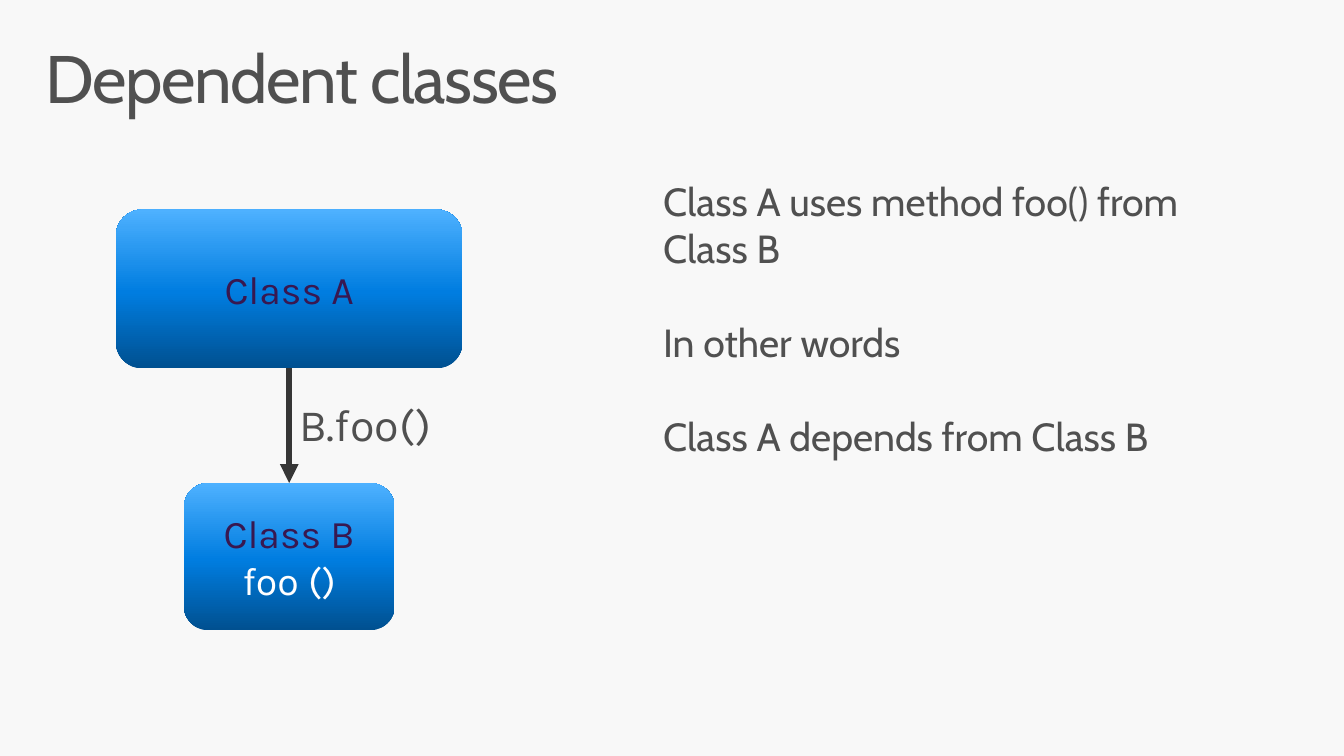
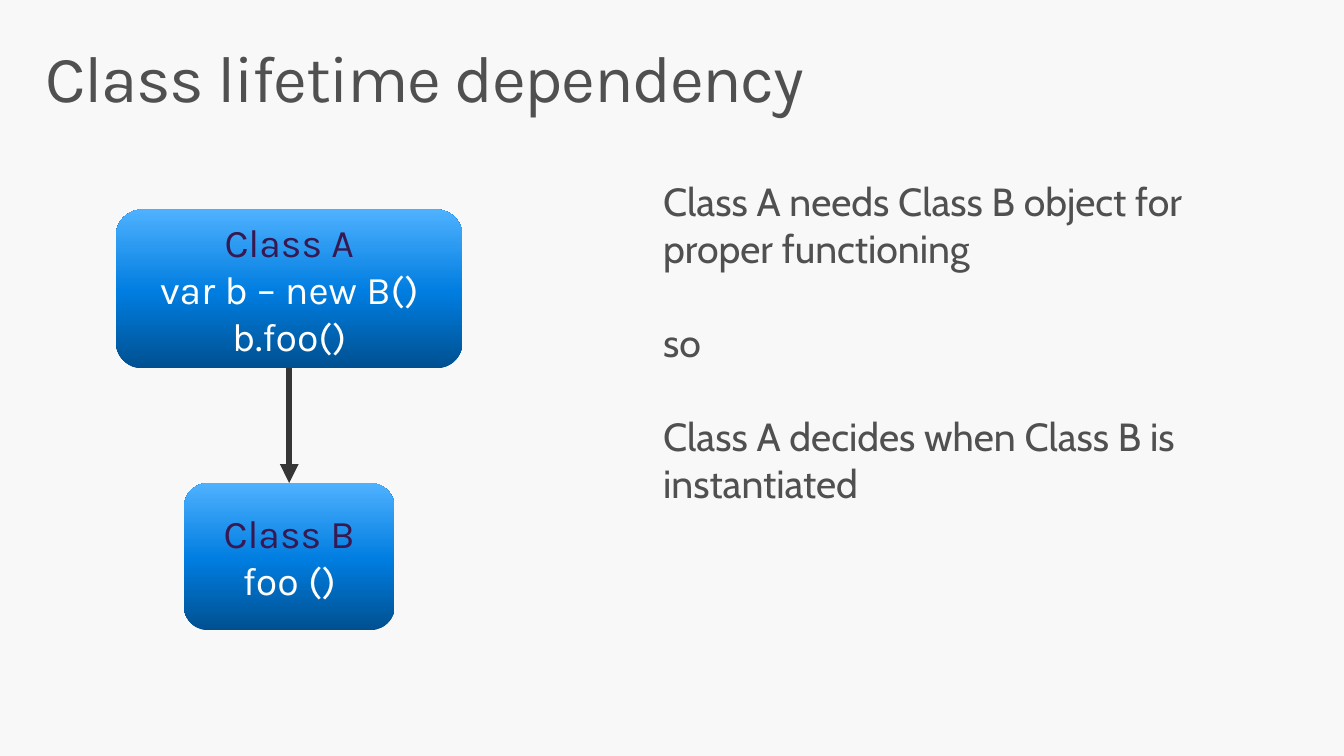
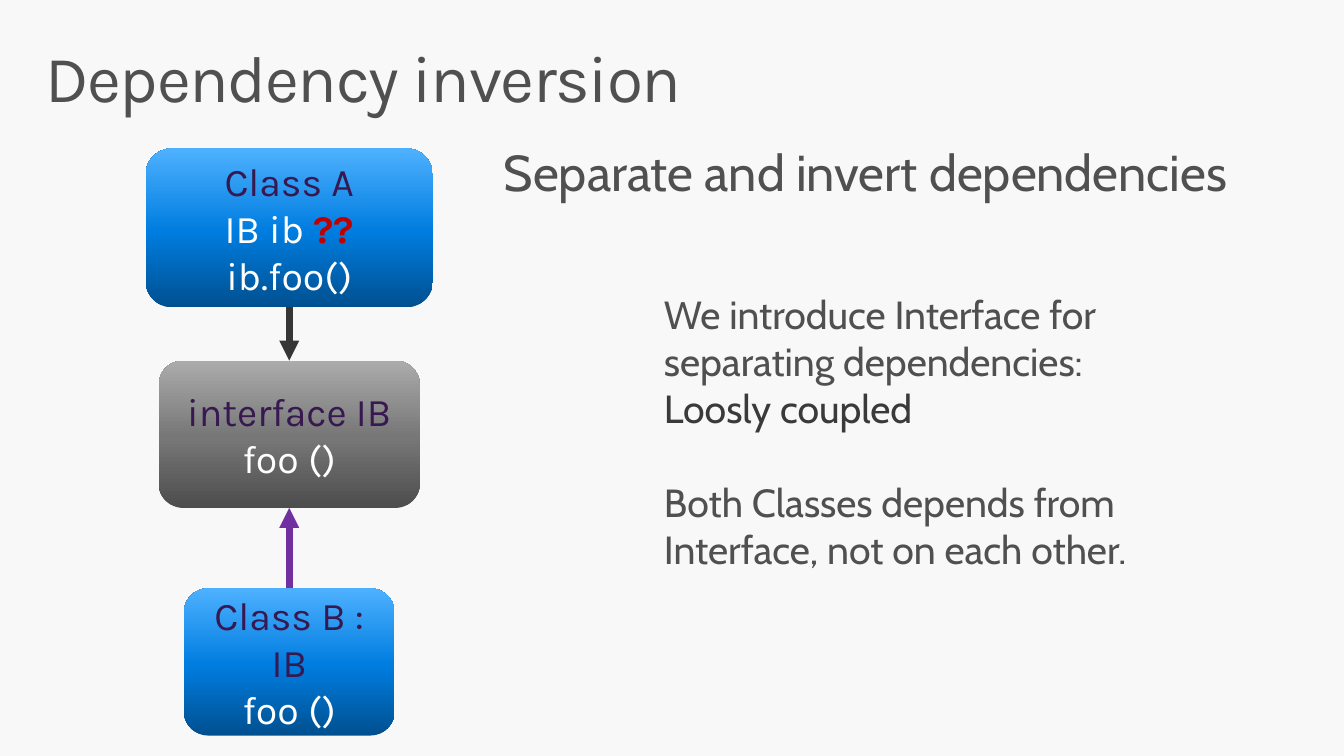
from copy import deepcopy

from lxml.etree import SubElement
from pptx import Presentation
from pptx.dml.color import RGBColor
from pptx.enum.shapes import MSO_CONNECTOR as Connector, MSO_SHAPE as Shape
from pptx.enum.text import MSO_ANCHOR as Anchor, MSO_AUTO_SIZE as AutoSize, PP_ALIGN as Align
from pptx.oxml.ns import qn
from pptx.util import Pt

BACKGROUND, TEXT, DARK = "F8F8F8", "505050", "3A3A3A"
HEADING, WHITE, RED = "381850", "FFFFFF", "C00000"
ARROW, PURPLE = "363636", "7030A0"
BLUES = ("005090", "007DE0", "4EB1FF")
GREYS = ("4D4D4D", "777777", "ABABAB")
STOPS = (0, 0.48, 1)
CABIN, KARLA = "Cabin", "Karla"
AXIS = 206.6
CLASS_A_HEIGHT, BOX_HEIGHT, CLASS_B_WIDTH = 113.6, 105.2, 150.6
BLANK_LINE = 33.6


def color(hex_string):
    return RGBColor.from_string(hex_string)


class Deck:
    """Holds the shared style and the slide being built."""

    def __init__(self):
        self.presentation = Presentation()
        self.presentation.slide_width = Pt(960)
        self.presentation.slide_height = Pt(540)
        fill = self.presentation.slide_master.background.fill
        fill.solid()
        fill.fore_color.rgb = color(BACKGROUND)
        self.slide = None

    def style(self, paragraph, size, font, hex_string):
        for run in paragraph.runs:
            run.font.size = Pt(size)
            run.font.name = font
            run.font.color.rgb = color(hex_string)

    def add_slide(self, title, size=47, font=KARLA):
        self.slide = self.presentation.slides.add_slide(self.presentation.slide_layouts[5])
        shape = self.slide.shapes.title
        shape.left, shape.top, shape.width, shape.height = Pt(21), Pt(23), Pt(918), Pt(70.6)
        frame = shape.text_frame
        frame.text = title
        frame.word_wrap = True
        frame.auto_size = AutoSize.NONE
        frame.vertical_anchor = Anchor.MIDDLE
        frame.margin_left = frame.margin_right = Pt(11.5)
        frame.margin_top = frame.margin_bottom = Pt(7.2)
        paragraph = frame.paragraphs[0]
        paragraph.alignment = Align.LEFT
        paragraph.line_spacing = 0.9
        self.style(paragraph, size, font, TEXT)
        for run in paragraph.runs:
            run.font._element.set("spc", "-100")

    def text(self, left, top, width, height, lines, size=28, font=CABIN):
        frame = self.slide.shapes.add_textbox(Pt(left), Pt(top), Pt(width), Pt(height)).text_frame
        frame.text = "\n".join(lines)
        frame.word_wrap = True
        frame.auto_size = AutoSize.SHAPE_TO_FIT_TEXT
        for paragraph in frame.paragraphs:
            self.style(paragraph, size, font, TEXT)
        for paragraph in frame.paragraphs[1:]:
            paragraph.space_before = Pt(BLANK_LINE)
        return frame.paragraphs

    def box(self, top, width, height, lines, shades=BLUES):
        shape = self.slide.shapes.add_shape(
            Shape.ROUNDED_RECTANGLE, Pt(AXIS - width / 2), Pt(top), Pt(width), Pt(height))
        shape.shadow.inherit = False
        shape.line.fill.background()
        self.gradient(shape.fill, shades)
        frame = shape.text_frame
        frame.text = "\n".join(lines)
        frame.word_wrap = True
        frame.vertical_anchor = Anchor.MIDDLE
        for index, paragraph in enumerate(frame.paragraphs):
            paragraph.alignment = Align.CENTER
            self.style(paragraph, 28, KARLA, WHITE if index else HEADING)
        return shape

    def gradient(self, fill, shades):
        fill.gradient()
        fill.gradient_angle = 90
        first = fill.gradient_stops[0]._gs
        first.addnext(deepcopy(first))
        for stop, position, shade in zip(fill.gradient_stops, STOPS, shades):
            stop.position = position
            stop.color.rgb = color(shade)

    def arrow(self, start, start_site, end, end_site, hex_string=ARROW, width=4.75):
        connector = self.slide.shapes.add_connector(Connector.STRAIGHT, 0, 0, 0, 0)
        connector.begin_connect(start, start_site)
        connector.end_connect(end, end_site)
        connector.line.color.rgb = color(hex_string)
        connector.line.width = Pt(width)
        SubElement(connector.line._get_or_add_ln(), qn("a:tailEnd"), type="triangle")
        SubElement(connector._element.spPr, qn("a:effectLst"))

    def dependency(self, class_a_lines):
        class_a = self.box(149.6, 247.6, CLASS_A_HEIGHT, class_a_lines)
        class_b = self.box(345, CLASS_B_WIDTH, BOX_HEIGHT, ["Class B", "foo ()"])
        self.arrow(class_a, 2, class_b, 0, width=4.5)


def main():
    deck = Deck()

    deck.add_slide("Dependent classes", 48, CABIN)
    deck.text(466.6, 123, 410.4, 211, [
        "Class A uses method foo() from Class B",
        "In other words",
        "Class A depends from Class B"])
    deck.text(AXIS, 280, 125.3, 46, ["B.foo()"], 32, KARLA)
    deck.dependency(["Class A"])

    deck.add_slide("Class lifetime dependency")
    deck.dependency(["Class A", "var b – new B()", "b.foo()"])
    deck.text(466.6, 123, 410.4, 278.6, [
        "Class A needs Class B object for proper functioning",
        "so",
        "Class A decides when Class B is instantiated"])

    deck.add_slide("Dependency inversion")
    class_a = deck.box(106, 205.2, CLASS_A_HEIGHT, ["Class A", "IB ib ", "ib.foo()"])
    question = class_a.text_frame.paragraphs[1]
    marks = question.add_run()
    marks.text = "??"
    deck.style(question, 28, KARLA, WHITE)
    marks.font.color.rgb = color(RED)
    marks.font.bold = True
    interface = deck.box(257.6, 186.6, BOX_HEIGHT, ["interface IB", "foo ()"], GREYS)
    class_b = deck.box(420.2, CLASS_B_WIDTH, BOX_HEIGHT, ["Class B : IB", "foo ()"])
    deck.arrow(class_a, 2, interface, 0)
    deck.arrow(class_b, 0, interface, 2, PURPLE)
    deck.text(352.8, 97.2, 601, 51, ["Separate and invert dependencies"], 36)
    coupling = deck.text(467.2, 203.8, 380, 211, [
        "We introduce Interface for separating dependencies:",
        "Loosly coupled",
        "Both Classes depends from Interface, not on each other."])[1]
    coupling.space_before = Pt(0)
    deck.style(coupling, 28, CABIN, DARK)

    deck.presentation.save("out.pptx")


if __name__ == "__main__":
    main()
